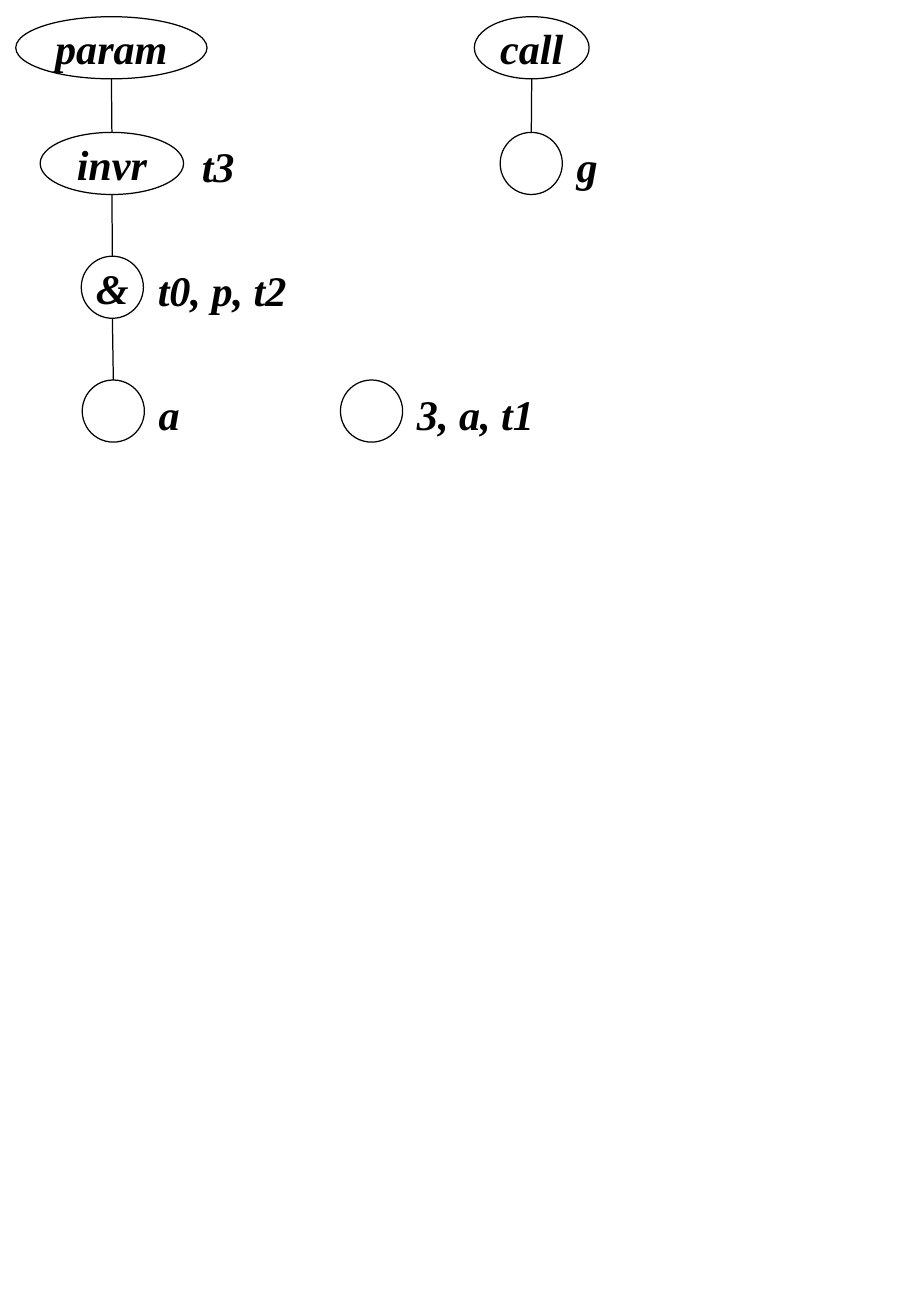
from dataclasses import dataclass

from pptx import Presentation
from pptx.dml.color import RGBColor
from pptx.enum.shapes import MSO_CONNECTOR, MSO_SHAPE
from pptx.enum.text import MSO_ANCHOR, PP_ALIGN
from pptx.oxml.ns import qn
from pptx.util import Cm, Pt
from lxml import etree

ELLIPSE = MSO_SHAPE.OVAL
STRAIGHT = MSO_CONNECTOR.STRAIGHT
MIDDLE = MSO_ANCHOR.MIDDLE
LEFT, CENTER = PP_ALIGN.LEFT, PP_ALIGN.CENTER


@dataclass(frozen=True)
class Theme:
    ink: RGBColor = RGBColor(0, 0, 0)
    font: str = "Times New Roman"
    text_size: float = 25
    line_width: float = 0.75


@dataclass(frozen=True)
class Node:
    row: int
    text: str = ""
    width: float = 1.3
    label: str = ""
    label_width: float = 1.2
    label_gap: float = 0.02
    shift: float = 0  # sideways offset from the axis of the chain


THEME = Theme()

# Lengths in centimetres
NODE_HEIGHT = 1.3
ROW_TOPS = (0, 2.42, 5.01, 7.6)
LABEL_DROP, LABEL_HEIGHT = 0.1, 1.2


def write_text(shape, text, alignment, inset, wrap):
    frame = shape.text_frame
    frame.word_wrap = wrap
    frame.vertical_anchor = MIDDLE
    frame.margin_left = frame.margin_right = Cm(inset)
    frame.margin_top = frame.margin_bottom = Cm(0.13)
    paragraph = frame.paragraphs[0]
    paragraph.alignment = alignment
    run = paragraph.add_run()
    run.text = text
    run.font.name = THEME.font
    run.font.size = Pt(THEME.text_size)
    run.font.bold = run.font.italic = True
    run.font.color.rgb = THEME.ink


def style_line(line):
    line.color.rgb = THEME.ink
    line.width = Pt(THEME.line_width)


def draw_node(slide, node, center, top):
    left = center - node.width / 2
    shape = slide.shapes.add_shape(
        ELLIPSE, Cm(left), Cm(top), Cm(node.width), Cm(NODE_HEIGHT))
    shape.shadow.inherit = False
    shape.fill.background()
    style_line(shape.line)
    if node.text:
        write_text(shape, node.text, CENTER, 0.25, False)
    if node.label:
        label = slide.shapes.add_textbox(
            Cm(left + node.width + node.label_gap), Cm(top + LABEL_DROP),
            Cm(node.label_width), Cm(LABEL_HEIGHT))
        write_text(label, node.label, LEFT, 0.28, True)


def draw_edge(slide, start, end):
    edge = slide.shapes.add_connector(
        STRAIGHT, *(Cm(value) for value in (*start, *end)))
    style_line(edge.line)
    etree.SubElement(edge._element.spPr, qn("a:effectLst"))


def draw_chain(slide, axis, top, nodes):
    """Draw nodes downwards along an axis, each joined to the one above."""
    previous = None
    for node in nodes:
        center, node_top = axis + node.shift, top + ROW_TOPS[node.row]
        draw_node(slide, node, center, node_top)
        if previous:
            draw_edge(slide, previous, (center, node_top))
        previous = (center, node_top + NODE_HEIGHT)


def main():
    presentation = Presentation()
    presentation.slide_width = Cm(19.05)
    presentation.slide_height = Cm(27.53)
    slide = presentation.slides.add_slide(presentation.slide_layouts[6])

    # Parameter chain, loose leaf and call chain: axis and nodes
    chains = (
        (2.33, (
            Node(0, "param", 4),
            Node(1, "invr", 3, "t3", 1.5, 0.1, 0.01),
            Node(2, "&", label="t0, p, t2", label_width=3.6, shift=0.02),
            Node(3, label="a", shift=0.04),
        )),
        (7.77, (Node(3, label="3, a, t1", label_width=3.4),)),
        (11.12, (Node(0, "call", 2.4), Node(1, label="g", shift=-0.01))),
    )
    for axis, nodes in chains:
        draw_chain(slide, axis, 0.35, nodes)

    presentation.save("out.pptx")


if __name__ == "__main__":
    main()
